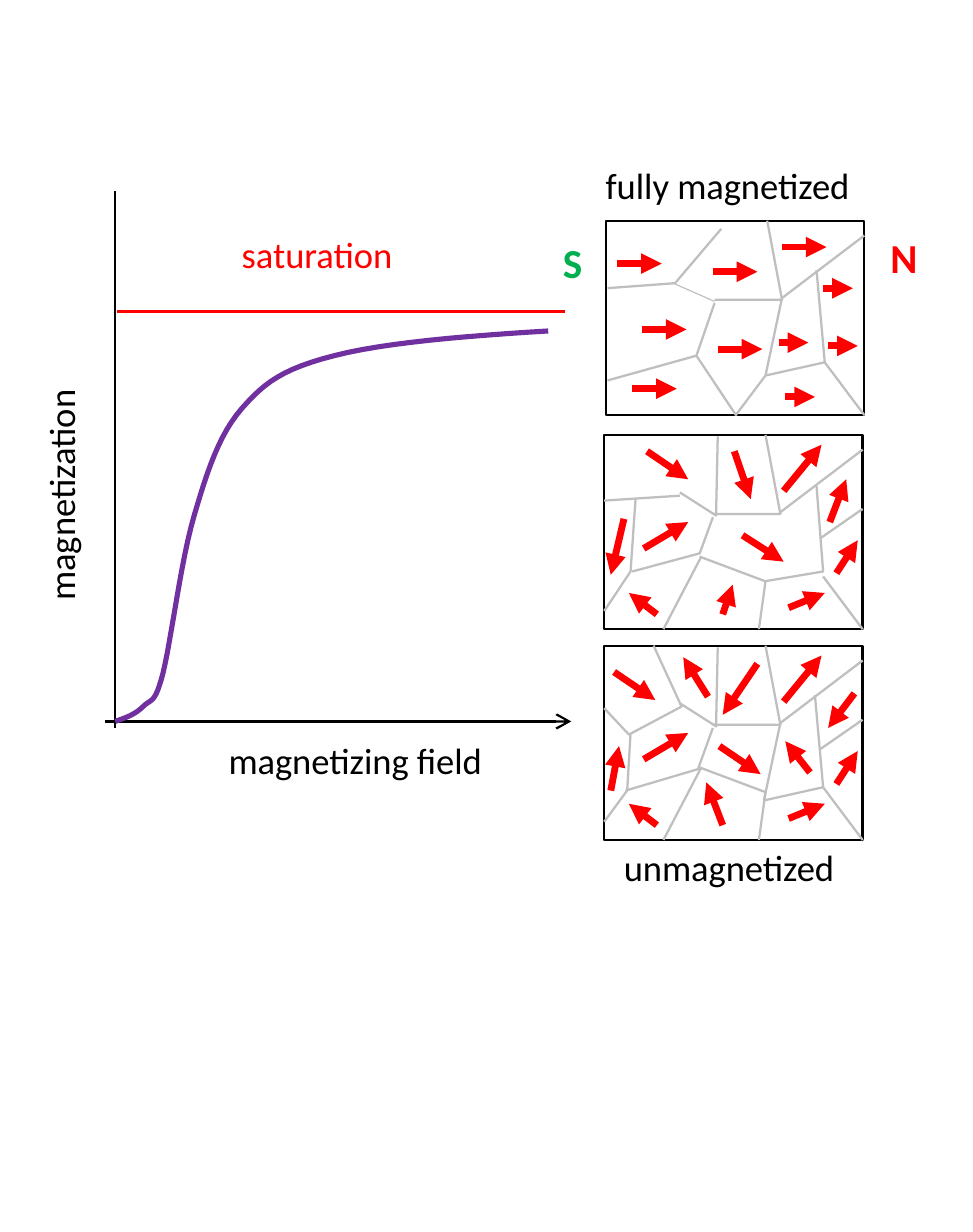
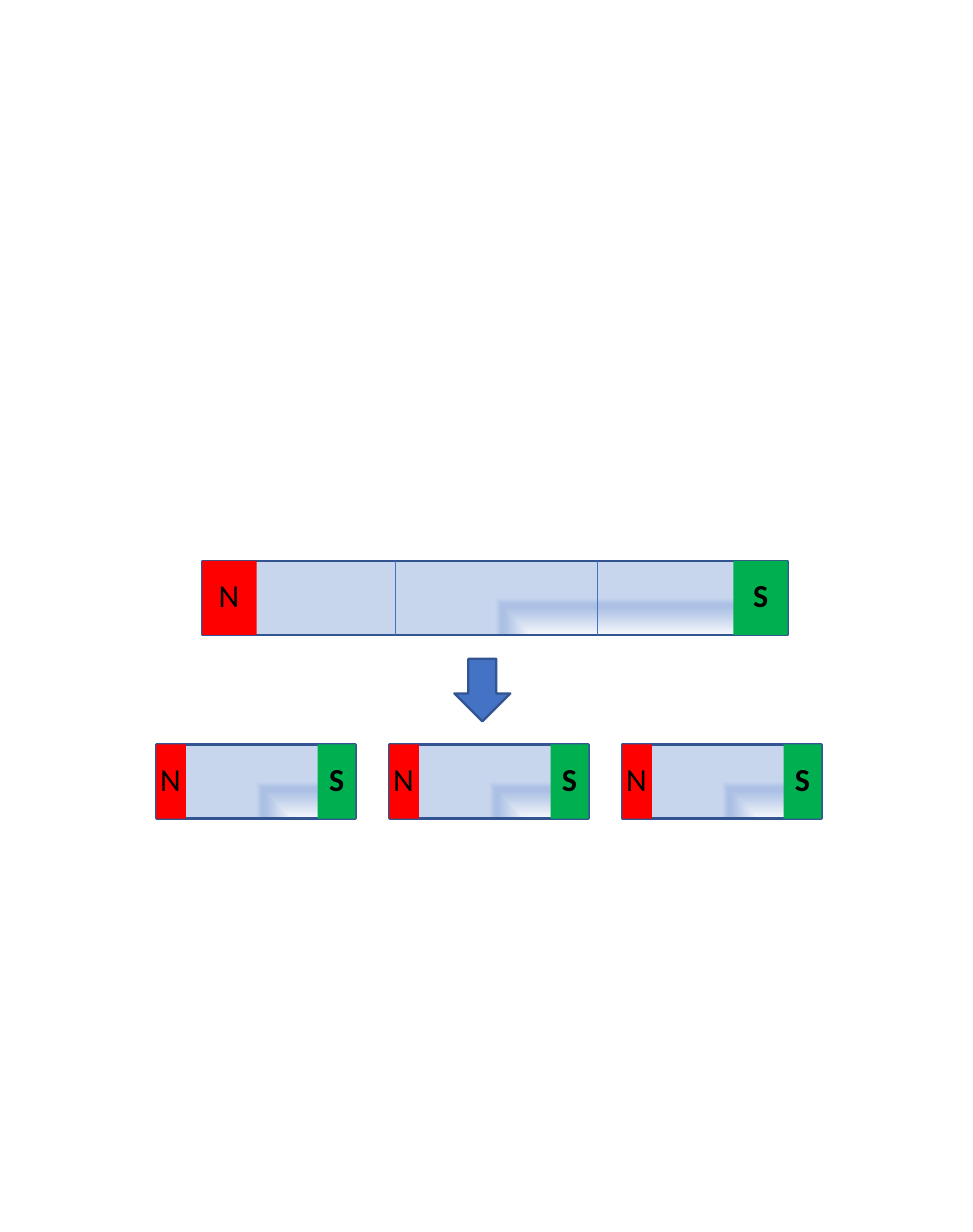
from lxml import etree
from pptx import Presentation
from pptx.dml.color import RGBColor
from pptx.enum.shapes import MSO_CONNECTOR as Conn, MSO_SHAPE as Shape
from pptx.enum.text import MSO_AUTO_SIZE as AutoSize
from pptx.oxml import parse_xml
from pptx.oxml.ns import nsdecls, qn
from pptx.util import Inches, Pt

# Both slides use a grid of square cells, 0.01 inch wide
CELL = Inches(0.01)
SLIDE_COLS, SLIDE_ROWS = 591, 748
FONT = "Calibri"

BLACK = RGBColor(0x00, 0x00, 0x00)
RED = RGBColor(0xFF, 0x00, 0x00)
GREEN = RGBColor(0x00, 0xB0, 0x50)
PURPLE = RGBColor(0x70, 0x30, 0xA0)
GREY = RGBColor(0xBF, 0xBF, 0xBF)
BLUE = RGBColor(0x44, 0x72, 0xC4)
DARK_BLUE = RGBColor(0x32, 0x54, 0x91)
STEEL_STOPS = [(0, "F6F8FC"), (74, "ABC0E4"), (83, "ABC0E4"), (100, "C7D5ED")]

# Magnetization curve: start point, then cubic segments of three points each
CURVE = [(70, 438),
         (76, 436), (82, 434), (87, 429), (92, 424), (94, 428), (99, 409),
         (104, 389), (110, 340), (118, 313), (126, 286), (133, 264), (147, 248),
         (161, 232), (172, 224), (203, 216), (234, 208), (284, 204), (333, 201)]
CURVE_STEPS = 12

# Domain panels: walls and arrows are counted from the panel's top left corner
PANEL_W, PANEL_H = 157, 118
WALLS_ALL = [[(66, 48), (107, 48), (98, 0)], [(107, 47), (157, 9)],
             [(133, 86), (157, 118)]]
WALLS_ENDS = [[(107, 47), (97, 94)], [(97, 94), (133, 86), (128, 30)]]
WALLS_LOWER = [[(46, 35), (68, 49), (69, 1)], [(59, 74), (36, 118)],
               [(58, 74), (98, 89), (94, 118)], [(131, 63), (157, 45)]]
ARROWS_LOWER = [(32, 109, 15, 96), (24, 69, 51, 53), (112, 105, 134, 96),
                (109, 34, 132, 6), (141, 84, 154, 64)]

WALLS_FULL = WALLS_ALL + WALLS_ENDS + [
    [(1, 41), (42, 38), (70, 5)], [(1, 97), (55, 82), (66, 50)],
    [(55, 82), (79, 118), (97, 94)]]
LONG_ARROWS = [(7, 26), (22, 66), (16, 102), (68, 78), (65, 31), (107, 16)]
SHORT_ARROWS = [(105, 74), (132, 41), (135, 76), (109, 107)]
ARROWS_FULL = [(x, y, x + length, y)
               for starts, length in ((LONG_ARROWS, 27), (SHORT_ARROWS, 18))
               for x, y in starts]

WALLS_PARTIAL = WALLS_ALL + WALLS_LOWER + [
    [(19, 39), (16, 83), (0, 107)], [(17, 83), (58, 72), (66, 50)],
    [(97, 89), (133, 83), (129, 31)], [(0, 40), (46, 37)]]
ARROWS_PARTIAL = ARROWS_LOWER + [
    (26, 10, 51, 27), (84, 61, 109, 77), (79, 10, 89, 39),
    (72, 109, 78, 91), (137, 53, 147, 27), (12, 51, 4, 85)]

WALLS_NONE = WALLS_ALL + WALLS_ENDS + WALLS_LOWER + [
    [(30, 0), (47, 37), (15, 54), (0, 38)], [(16, 54), (14, 88), (0, 107)],
    [(13, 88), (57, 75), (66, 50)]]
ARROWS_NONE = ARROWS_LOWER + [
    (4, 88, 9, 61), (6, 16, 31, 33), (70, 61, 95, 78), (93, 11, 72, 42),
    (72, 109, 62, 83), (125, 77, 110, 58), (152, 29, 136, 50), (63, 31, 48, 7)]

# Bar magnets
BAR_H = 45
PIECE_X, PIECE_Y, PIECE_W, PIECE_PITCH = 95, 452, 121, 141.5


def cells(*counts):
    return [int(n * CELL) for n in counts]


def set_line(sp, color, width):
    sp.line.color.rgb = color
    sp.line.width = Pt(width)


def add_line(shapes, x1, y1, x2, y2, color, width, head=None):
    c = shapes.add_connector(Conn.STRAIGHT, *cells(x1, y1, x2, y2))
    set_line(c, color, width)
    if head:
        etree.SubElement(c.line._get_or_add_ln(), qn("a:tailEnd"), type=head)
    etree.SubElement(c._element.spPr, qn("a:effectLst"))


def add_polyline(shapes, points, color, width):
    pts = [cells(*pt) for pt in points]
    builder = shapes.build_freeform(*pts[0])
    builder.add_line_segments(pts[1:], close=False)
    sp = builder.convert_to_shape()
    sp.shadow.inherit = False
    sp.fill.background()
    set_line(sp, color, width)


def add_box(shapes, x, y, w, h, fill=None, line=None, kind=Shape.RECTANGLE):
    sp = shapes.add_shape(kind, *cells(x, y, w, h))
    sp.shadow.inherit = False
    if fill:
        sp.fill.solid()
        sp.fill.fore_color.rgb = fill
    else:
        sp.fill.background()
    if line:
        set_line(sp, line, 1)
    else:
        sp.line.fill.background()
    return sp


def add_label(shapes, text, x, y, w, h, size=16, color=BLACK, bold=False):
    sp = shapes.add_textbox(*cells(x, y, w, h))
    tf = sp.text_frame
    tf.word_wrap = False
    tf.auto_size = AutoSize.SHAPE_TO_FIT_TEXT
    p = tf.paragraphs[0]
    p.text = text
    f = p.runs[0].font
    f.name, f.size, f.bold = FONT, Pt(size), bold
    f.color.rgb = color
    return sp


def bezier_points(points, steps):
    """Sample a chain of cubic segments."""
    out = [points[0]]
    for i in range(0, len(points) - 1, 3):
        for n in range(1, steps + 1):
            t = n / steps
            weights = ((1 - t) ** 3, 3 * t * (1 - t) ** 2, 3 * t * t * (1 - t), t ** 3)
            out.append(tuple(sum(k * pt[axis] for k, pt in zip(weights, points[i:i + 4]))
                             for axis in (0, 1)))
    return out


def add_panel(slide, x, y, walls, arrows):
    """Framed set of magnetic domains, one arrow in each."""
    shapes = slide.shapes.add_group_shape().shapes
    add_box(shapes, x, y, PANEL_W, PANEL_H, line=BLACK)
    for wall in walls:
        add_polyline(shapes, [(x + dx, y + dy) for dx, dy in wall], GREY, 1)
    for x1, y1, x2, y2 in arrows:
        add_line(shapes, x + x1, y + y1, x + x2, y + y2, RED, 3, "triangle")
    return shapes


def fill_steel(sp):
    """Gradient that spreads from the bottom right corner."""
    stops = "".join(f'<a:gs pos="{pos * 1000}"><a:srgbClr val="{rgb}"/></a:gs>'
                    for pos, rgb in STEEL_STOPS)
    grad = parse_xml(f'<a:gradFill {nsdecls("a")} rotWithShape="1"><a:gsLst>{stops}</a:gsLst>'
                     '<a:path path="rect"><a:fillToRect l="100000" t="100000"/></a:path>'
                     '</a:gradFill>')
    sp_pr = sp._element.spPr
    sp_pr.replace(sp_pr.find(qn("a:noFill")), grad)


def add_magnet(slide, x, y, w, north_w, south_w, cuts=()):
    """Bar magnet with its two poles and optional cutting lines."""
    shapes = slide.shapes.add_group_shape().shapes
    fill_steel(add_box(shapes, x, y, w, BAR_H, line=DARK_BLUE))
    for cut in cuts:
        add_line(shapes, cut, y, cut, y + BAR_H, BLUE, 0.5)
    poles = (("N", x, north_w, RED, 33, False),
             ("S", x + w - south_w, south_w, GREEN, 29, True))
    for name, left, pole_w, color, label_w, bold in poles:
        add_box(shapes, left, y, pole_w, BAR_H, fill=color)
        add_label(shapes, name, left + (pole_w - label_w) / 2, y + 4, label_w, 34,
                  size=14, bold=bold)


def build_magnetization(slide):
    shapes = slide.shapes
    # Domain panels
    full = add_panel(slide, 368, 134, WALLS_FULL, ARROWS_FULL)
    add_line(full, 409, 172, 434, 183, GREY, 0.5)
    add_panel(slide, 367, 264, WALLS_PARTIAL, ARROWS_PARTIAL)
    add_panel(slide, 367, 392, WALLS_NONE, ARROWS_NONE)
    # Axes, curve and saturation level
    add_line(shapes, 64, 438, 347, 438, BLACK, 1, "arrow")
    add_line(shapes, 70, 442, 70, 116, BLACK, 1)
    add_polyline(shapes, bezier_points(CURVE, CURVE_STEPS), PURPLE, 2.25)
    add_line(shapes, 71, 189, 343, 189, RED, 1.5)
    # Labels
    add_label(shapes, "magnetizing field", 129, 443, 176, 37)
    add_label(shapes, "magnetization", -38, 281, 150, 37).rotation = 270
    add_label(shapes, "saturation", 137, 136, 113, 37, color=RED)
    add_label(shapes, "N", 531, 136, 36, 40, 18, RED, True)
    add_label(shapes, "S", 332, 139, 32, 40, 18, GREEN, True)
    add_label(shapes, "unmagnetized", 369, 508, 155, 37)
    add_label(shapes, "fully magnetized", 358, 94, 175, 37)


def build_cut_magnet(slide):
    # Whole magnet, then the three pieces it is cut into
    add_magnet(slide, 123, 340.5, 355.5, 33, 33, cuts=(240, 363))
    add_box(slide.shapes, 276, 400, 34, 38, BLUE, DARK_BLUE, Shape.DOWN_ARROW)
    for i in range(3):
        add_magnet(slide, PIECE_X + i * PIECE_PITCH, PIECE_Y, PIECE_W, 18, 23)


def main():
    prs = Presentation()
    prs.slide_width, prs.slide_height = cells(SLIDE_COLS, SLIDE_ROWS)
    for build in (build_magnetization, build_cut_magnet):
        build(prs.slides.add_slide(prs.slide_layouts[6]))
    prs.save("out.pptx")


if __name__ == "__main__":
    main()
